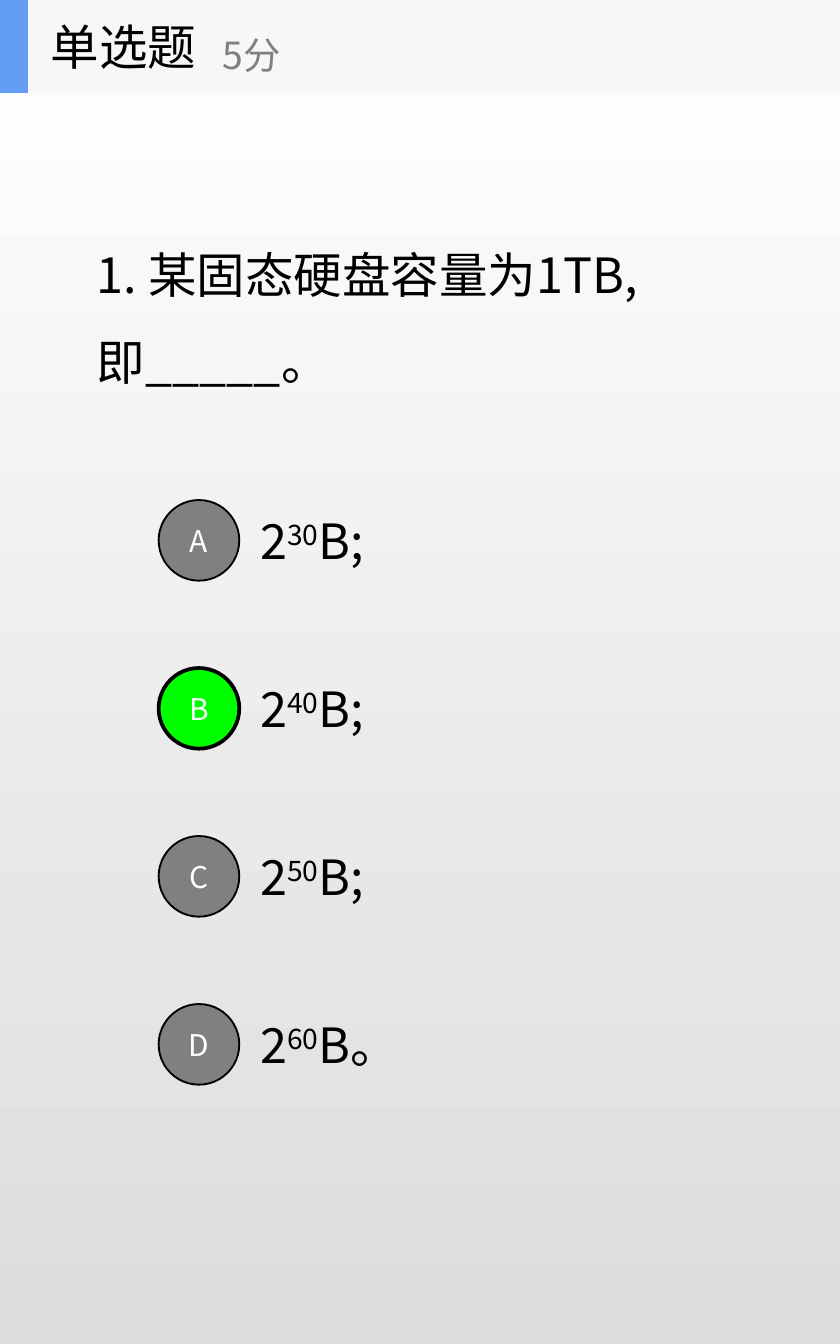
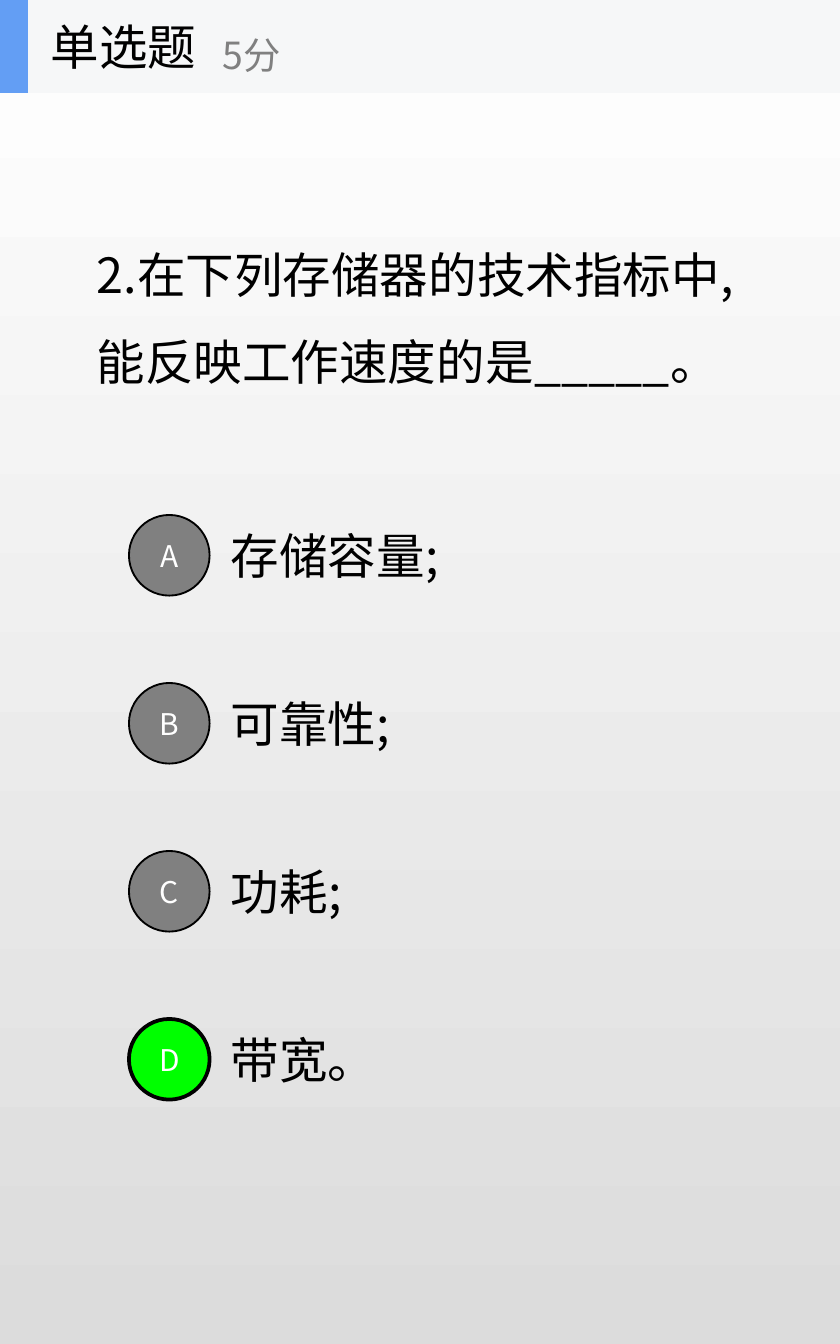
from dataclasses import dataclass

from lxml import etree
from pptx import Presentation
from pptx.dml.color import RGBColor
from pptx.enum import shapes, text
from pptx.oxml import ns
from pptx.util import Pt


@dataclass(frozen=True)
class Theme:
    font: str = "Noto Sans CJK SC"
    ink: str = "000000"
    muted: str = "808080"
    paper: str = "FFFFFF"
    shade: str = "DCDCDC"
    band: str = "F6F7F8"
    accent: str = "639EF4"
    correct: str = "00FF00"
    body_size: int = 26
    points_size: int = 20
    badge_size: int = 16


THEME = Theme()
PAGE_WIDTH, PAGE_HEIGHT = 450, 720
HEADER_HEIGHT = 49.8
BADGE = 43.2
OPTION_PITCH = 90
LABEL_OFFSET = 47.5
LABEL_HEIGHT = 38.6

# Option labels are lists of (text, superscript) spans, each with its box width.
QUESTIONS = [
    dict(stem="1. 某固态硬盘容量为1TB,即_____。", stem_width=330.5,
         left=85, top=267.9, answer="B",
         options=[([("2", False), (power, True), (ending, False)], width)
                  for power, ending, width in [("30", "B;", 83), ("40", "B;", 83),
                                               ("50", "B;", 83), ("60", "B。", 102)]]),
    dict(stem="2.在下列存储器的技术指标中,能反映工作速度的是_____。", stem_width=354.2,
         left=69.1, top=275.9, answer="D",
         options=[([(label, False)], width)
                  for label, width in [("存储容量;", 124.6), ("可靠性;", 98.6),
                                       ("功耗;", 72.7), ("带宽。", 92.2)]]),
]


def rgb(value):
    return RGBColor.from_string(value)


def add_span(para, words, size=THEME.body_size, color=THEME.ink, raised=False):
    span = para.add_run()
    span.text = words
    span.font.size = Pt(size)
    span.font.name = THEME.font
    span.font.color.rgb = rgb(color)
    props = span._r.get_or_add_rPr()
    etree.SubElement(props, ns.qn("a:ea"), typeface=THEME.font)
    if raised:
        props.set("baseline", "30000")


def set_frame(box, wrap=True, grow=False):
    """Centre the text vertically and return the first paragraph."""
    frame = box.text_frame
    frame.word_wrap = wrap
    frame.vertical_anchor = text.MSO_ANCHOR.MIDDLE
    frame.auto_size = (text.MSO_AUTO_SIZE.SHAPE_TO_FIT_TEXT if grow
                       else text.MSO_AUTO_SIZE.NONE)
    return frame.paragraphs[0]


def add_label(parent, bounds, wrap=True, grow=False):
    return set_frame(parent.add_textbox(*map(Pt, bounds)), wrap, grow)


def add_filled(parent, kind, bounds, fill, line_width=0):
    shape = parent.add_shape(kind, *map(Pt, bounds))
    shape.shadow.inherit = False
    shape.fill.solid()
    shape.fill.fore_color.rgb = rgb(fill)
    if line_width:
        shape.line.color.rgb = rgb(THEME.ink)
        shape.line.width = Pt(line_width)
    else:
        shape.line.fill.background()
    return shape


def set_background(master):
    fill = master.background.fill
    fill.gradient()
    fill.gradient_angle = 270
    for stop, color in zip(fill.gradient_stops, (THEME.paper, THEME.shade)):
        stop.color.rgb = rgb(color)


def add_stem(page, stem, width):
    title = page.shapes.title
    title.left, title.top, title.width, title.height = map(Pt, (44.6, 111.6, width, 101.5))
    para = set_frame(title, grow=True)
    para.alignment = text.PP_ALIGN.LEFT
    para.line_spacing = 1.5
    add_span(para, stem)


def add_option(page, left, top, letter, spans, width, is_answer):
    para = add_label(page.shapes, (left + LABEL_OFFSET, top + (BADGE - LABEL_HEIGHT) / 2,
                                   width, LABEL_HEIGHT), grow=True)
    for words, raised in spans:
        add_span(para, words, raised=raised)
    badge = add_filled(page.shapes, shapes.MSO_SHAPE.OVAL, (left, top, BADGE, BADGE),
                       THEME.correct if is_answer else THEME.muted, 2 if is_answer else 1)
    para = set_frame(badge)
    para.alignment = text.PP_ALIGN.CENTER
    add_span(para, letter, THEME.badge_size, THEME.paper)


def add_header(page, kind, points):
    parts = page.shapes.add_group_shape().shapes
    for width, color in ((PAGE_WIDTH, THEME.band), (15, THEME.accent)):
        add_filled(parts, shapes.MSO_SHAPE.RECTANGLE, (0, 0, width, HEADER_HEIGHT), color)
    add_span(add_label(parts, (20, 0, 150, HEADER_HEIGHT), wrap=False), kind)
    add_span(add_label(parts, (112.2, 8.8, 180, 40.5), wrap=False), points,
             THEME.points_size, THEME.muted)


def add_question(deck, question):
    page = deck.slides.add_slide(deck.slide_layouts.get_by_name("Title Only"))
    add_stem(page, question["stem"], question["stem_width"])
    for row, (letter, (spans, width)) in enumerate(zip("ABCD", question["options"])):
        add_option(page, question["left"], question["top"] + row * OPTION_PITCH,
                   letter, spans, width, letter == question["answer"])
    add_header(page, "单选题", "5分")


def main():
    deck = Presentation()
    deck.slide_width, deck.slide_height = Pt(PAGE_WIDTH), Pt(PAGE_HEIGHT)
    set_background(deck.slide_master)
    for question in QUESTIONS:
        add_question(deck, question)
    deck.save("out.pptx")


if __name__ == "__main__":
    main()
